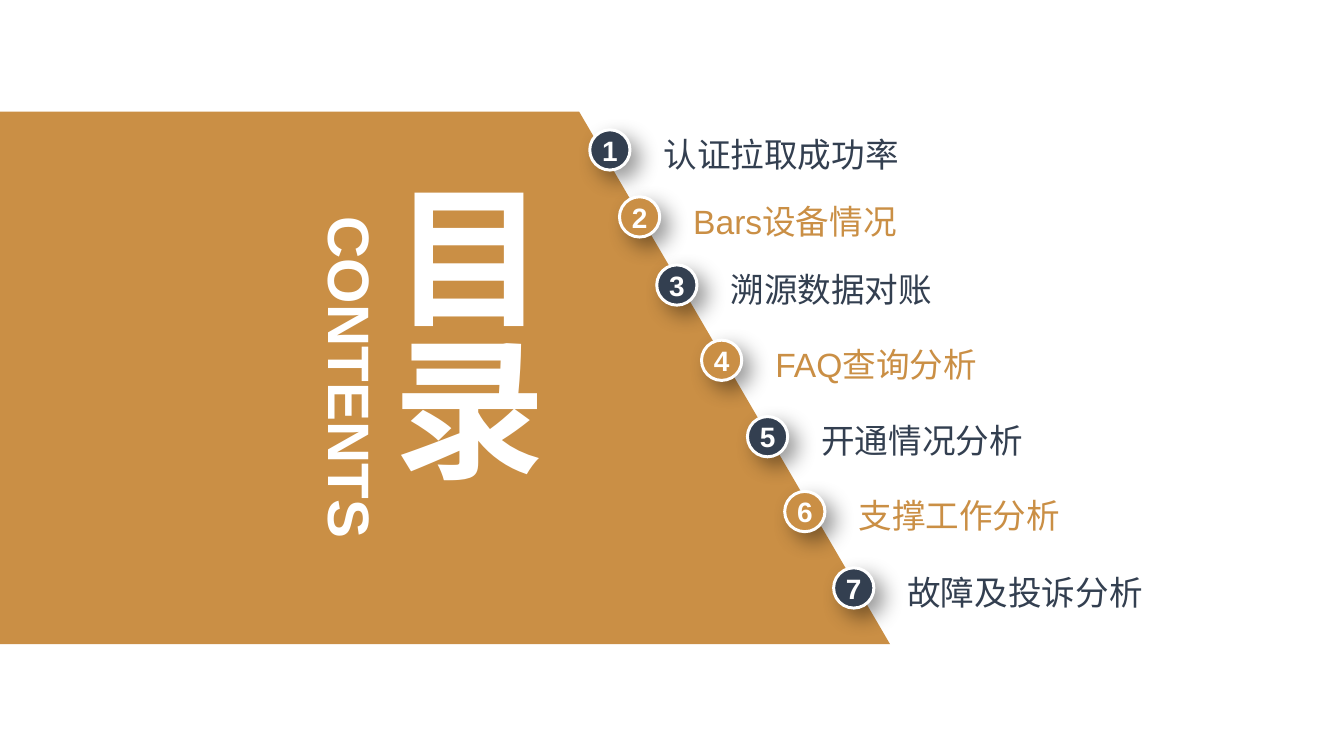
from lxml import etree
from pptx import Presentation
from pptx import util as u
from pptx.dml.color import RGBColor
from pptx.enum import shapes, text
from pptx.oxml import ns

Cm = u.Cm
GOLD = RGBColor(0xCA, 0x8F, 0x45)
NAVY = RGBColor(0x33, 0x3F, 0x50)
WHITE = RGBColor(0xFF, 0xFF, 0xFF)
FONT = "Arial"
DOT = 1.07  # diameter of a number badge, in cm

# Topic, with the place of its badge in the list box
TOPICS = [
    ("认证拉取成功率", 0, 0),
    ("Bars设备情况", 0.79, 1.78),
    ("溯源数据对账", 1.78, 3.59),
    ("FAQ查询分析", 2.97, 5.59),
    ("开通情况分析", 4.19, 7.62),
    ("支撑工作分析", 5.18, 9.61),
    ("故障及投诉分析", 6.48, 11.64),
]


def write(shape, words, size, color, bold=False, center=True, wrap=True):
    frame = shape.text_frame
    frame.word_wrap = wrap
    frame.vertical_anchor = text.MSO_ANCHOR.MIDDLE
    frame.margin_left = frame.margin_right = 0
    frame.margin_top = frame.margin_bottom = 0
    para = frame.paragraphs[0]
    para.alignment = text.PP_ALIGN.CENTER if center else text.PP_ALIGN.LEFT
    run = para.add_run()
    run.text = words
    font = run.font
    font.name, font.size, font.bold = FONT, u.Pt(size), bold
    font.color.rgb = color


def add_box(slide, left, top, width, height):
    return slide.shapes.add_textbox(Cm(left), Cm(top), Cm(width), Cm(height))


def cast(shape):
    """Give the shape a soft shadow to the lower right."""
    shape.shadow.inherit = False
    effects = shape.element.spPr.find(ns.qn("a:effectLst"))
    outer = etree.SubElement(
        effects, ns.qn("a:outerShdw"), blurRad=str(u.Pt(16)),
        dist=str(u.Pt(9)), dir=str(45 * 60000), algn="tl", rotWithShape="0")
    black = etree.SubElement(outer, ns.qn("a:srgbClr"), val="000000")
    etree.SubElement(black, ns.qn("a:alpha"), val="40000")


def add_panel(slide, left, top, width, height):
    # Gold panel with a slanted right edge
    edge = left + width - 8.26
    pen = slide.shapes.build_freeform(Cm(left), Cm(top))
    pen.add_line_segments([
        (Cm(edge), Cm(top)),
        (Cm(left + width), Cm(top + height)),
        (Cm(left), Cm(top + height)),
    ])
    panel = pen.convert_to_shape()
    panel.shadow.inherit = False
    panel.fill.solid()
    panel.fill.fore_color.rgb = GOLD
    panel.line.fill.background()

    # Upright title
    title = add_box(slide, left + 9.88, top + 1.81, 4.93, 10.54)
    write(title, "目录", 115, WHITE, bold=True)
    title.element.txBody.bodyPr.set("vert", "eaVert")

    # Turned subtitle
    sub = add_box(slide, left + 4.75, top + 6.12, 9.17, 1.88)
    write(sub, "CONTENTS", 44, WHITE, bold=True, wrap=False)
    sub.rotation = 90


def add_topic(slide, left, top, num, words, color):
    # Number badge
    dot = slide.shapes.add_shape(
        shapes.MSO_SHAPE.OVAL, Cm(left), Cm(top), Cm(DOT), Cm(DOT))
    cast(dot)
    dot.fill.solid()
    dot.fill.fore_color.rgb = color
    dot.line.color.rgb = WHITE
    dot.line.width = u.Pt(2.25)
    write(dot, str(num), 21.1, WHITE, bold=True, wrap=False)

    # Topic name
    label = add_box(slide, left + 1.96, top + 0.09, 6.86, 1.09)
    write(label, words, 25.3, color, center=False)


def add_list(slide, left, top):
    for num, (words, right, down) in enumerate(TOPICS, 1):
        color = NAVY if num % 2 else GOLD
        add_topic(slide, left + right, top + down, num, words, color)


deck = Presentation()
deck.slide_width, deck.slide_height = Cm(35.71), Cm(20.09)
page = deck.slides.add_slide(deck.slide_layouts[6])
add_panel(page, 0, 2.97, 23.65, 14.15)
add_list(page, 15.67, 3.45)
deck.save("out.pptx")
